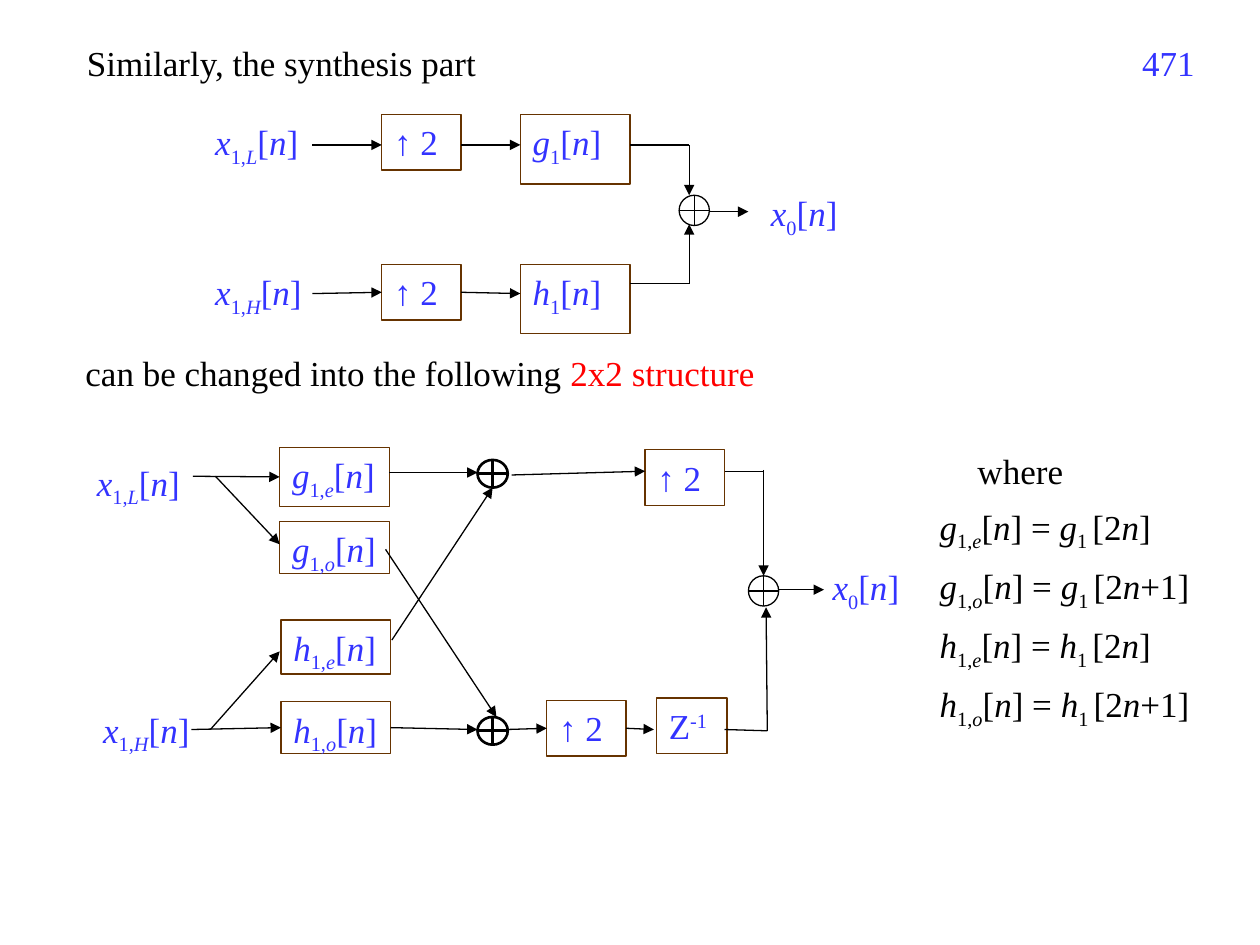
from itertools import groupby

from lxml import etree
from pptx import Presentation
from pptx import util as u
from pptx.dml.color import RGBColor
from pptx.enum import shapes, text
from pptx.oxml.ns import qn

BLUE, BLACK, RED, BROWN, WHITE = "3333FF", "000000", "FF0000", "663300", "FFFFFF"
FONT, SIZE = "Times New Roman", 20
LEVELS = {"<": -25000, "^": 30000, ">": 0}
ITALIC = "xghnLHeo"
JOIN_DISTANCE = 0.018

TITLE = ("Similarly, the synthesis part", (0.59, 0.28, 4.57, 0.44))
PLAIN_TEXTS = [
    ([("471", BLUE)], (8.7, 0.28, 0.88, 0.52), "RIGHT"),
    ([("can be changed into the following ", BLACK), ("2x2 structure", RED)],
     (0.58, 2.74, 6.25, 0.44), "LEFT"),
    ([("where", BLACK)], (7.66, 3.52, 1.26, 0.44), "LEFT"),
]
SIGNALS = [
    ("x<1,L>[n]", 1.61, 0.91), ("x<1,H>[n]", 1.61, 2.1), ("x<0>[n]", 6.02, 1.47),
    ("x<1,L>[n]", 0.67, 3.61), ("x<1,H>[n]", 0.72, 5.57), ("x<0>[n]", 6.51, 4.44),
]
EQUATIONS = [
    "g<1,e>[n] = g<1 >[2n]", "g<1,o>[n] = g<1 >[2n+1]",
    "h<1,e>[n] = h<1 >[2n]", "h<1,o>[n] = h<1 >[2n+1]",
]
EQUATION_LEFT, EQUATION_TOP, EQUATION_STEP = 7.36, 3.96, 0.47
BLOCKS = [
    ("↑ 2", (3.03, 0.91, 0.63, 0.44)), ("↑ 2", (3.03, 2.1, 0.63, 0.44)),
    ("g<1>[n]", (4.13, 0.91, 0.87, 0.55)), ("h<1>[n]", (4.13, 2.1, 0.87, 0.55)),
    ("g<1,e>[n]", (2.22, 3.55, 0.87, 0.47)), ("g<1,o>[n]", (2.22, 4.14, 0.87, 0.41)),
    ("h<1,e>[n]", (2.23, 4.92, 0.87, 0.43)), ("h<1,o>[n]", (2.23, 5.57, 0.87, 0.41)),
    ("↑ 2", (5.12, 3.57, 0.63, 0.44)), ("↑ 2", (4.34, 5.56, 0.63, 0.44)),
    ("Z^-1", (5.21, 5.54, 0.56, 0.44)),
]
ADDERS = [
    ((5.39, 1.55, 0.24, 0.24), 0.75), ((5.94, 4.57, 0.24, 0.24), 0.75),
    ((3.79, 3.65, 0.24, 0.22), 1.5), ((3.79, 5.69, 0.24, 0.22), 1.5),
]
ARROWS = [
    (2.48, 1.15, 3.03, 1.15), (3.66, 1.15, 4.13, 1.15), (5.47, 1.15, 5.47, 1.55),
    (2.48, 2.33, 3.03, 2.33), (3.66, 2.33, 4.13, 2.33), (5.47, 2.25, 5.47, 1.78),
    (5.63, 1.68, 5.94, 1.68),
    (1.53, 3.78, 2.23, 3.78), (1.71, 3.78, 2.22, 4.32),
    (1.52, 5.79, 2.22, 5.79), (1.67, 5.79, 2.22, 5.17),
    (3.09, 3.75, 3.79, 3.75), (3.09, 5.79, 3.79, 5.79),
    (3.11, 5.08, 3.91, 3.87), (3.06, 4.36, 3.94, 5.69),
    (4.06, 3.77, 5.12, 3.74), (4.02, 5.79, 4.35, 5.79), (4.97, 5.79, 5.19, 5.79),
    (6.06, 3.73, 6.06, 4.57), (6.09, 5.8, 6.08, 4.82), (6.18, 4.68, 6.54, 4.68),
]
PLAIN_LINES = [
    (5, 1.15, 5.47, 1.15), (5, 2.25, 5.47, 2.25),
    (5.75, 3.74, 6.06, 3.74), (5.75, 5.79, 6.09, 5.8),
]


def inches(values):
    return [u.Inches(value) for value in values]


def color(value):
    return RGBColor.from_string(value)


def style(paragraph, value=BLACK, align="LEFT"):
    paragraph.alignment = getattr(text.PP_ALIGN, align)
    paragraph.font.name, paragraph.font.size = FONT, u.Pt(SIZE)
    paragraph.font.color.rgb = color(value)


def write_formula(frame, formula, value):
    """Write a formula: <...> lowers, ^ raises, and variable letters turn italic."""
    frame.word_wrap = True
    paragraph = frame.paragraphs[0]
    style(paragraph, value)
    level, marked = 0, []
    for character in formula:
        if character in LEVELS:
            level = LEVELS[character]
        else:
            marked.append((character, level, character in ITALIC))
    for (level, italic), group in groupby(marked, key=lambda mark: mark[1:]):
        run = paragraph.add_run()
        run.text = "".join(mark[0] for mark in group)
        if italic:
            run.font.italic = True
        if level:
            run.font._element.set("baseline", str(level))


def add_outline(slide, kind, box, line_color, width):
    shape = slide.shapes.add_shape(kind, *inches(box))
    shape.shadow.inherit = False
    shape.fill.background()
    shape.line.color.rgb, shape.line.width = color(line_color), u.Pt(width)
    return shape


def add_block(slide, formula, box):
    shape = add_outline(slide, shapes.MSO_SHAPE.RECTANGLE, box, BROWN, 0.75)
    frame = shape.text_frame
    frame.vertical_anchor, frame.margin_right = text.MSO_ANCHOR.TOP, 0
    write_formula(frame, formula, BLUE)
    return shape


def find_side(blocks, x, y):
    for shape, (left, top, width, height) in blocks:
        middle_x, middle_y = left + width / 2, top + height / 2
        sides = [(middle_x, top), (left, middle_y),
                 (middle_x, top + height), (left + width, middle_y)]
        for index, (side_x, side_y) in enumerate(sides):
            if max(abs(x - side_x), abs(y - side_y)) <= JOIN_DISTANCE:
                return shape, index
    return None


def add_line(slide, blocks, points, arrow):
    line = slide.shapes.add_connector(shapes.MSO_CONNECTOR.STRAIGHT, *inches(points))
    line.line.color.rgb, line.line.width = color(BLACK), u.Pt(0.75)
    if arrow:
        etree.SubElement(line.line._get_or_add_ln(), qn("a:tailEnd"), type="triangle")
    etree.SubElement(line._element.spPr, qn("a:effectLst"))
    for join, point in ((line.begin_connect, points[:2]), (line.end_connect, points[2:])):
        side = find_side(blocks, *point)
        if side:
            join(*side)


def main():
    presentation = Presentation()
    presentation.slide_width, presentation.slide_height = inches((10, 7.5))
    slide = presentation.slides.add_slide(presentation.slide_layouts[5])

    title = slide.shapes.title
    title.left, title.top, title.width, title.height = inches(TITLE[1])
    title.text_frame.text = TITLE[0]
    title.text_frame.vertical_anchor = text.MSO_ANCHOR.TOP
    title.text_frame.auto_size = text.MSO_AUTO_SIZE.NONE
    style(title.text_frame.paragraphs[0])

    for runs, box, align in PLAIN_TEXTS:
        frame = slide.shapes.add_textbox(*inches(box)).text_frame
        frame.word_wrap = True
        style(frame.paragraphs[0], runs[0][1], align)
        for wording, value in runs:
            run = frame.paragraphs[0].add_run()
            run.text, run.font.color.rgb = wording, color(value)

    formulas = [(signal, left, top, 0.94, BLUE) for signal, left, top in SIGNALS]
    formulas += [(equation, EQUATION_LEFT, EQUATION_TOP + row * EQUATION_STEP, 2.34, BLACK)
                 for row, equation in enumerate(EQUATIONS)]
    for formula, left, top, width, value in formulas:
        label = slide.shapes.add_textbox(*inches((left, top, width, 0.44)))
        write_formula(label.text_frame, formula, value)

    blocks = [(add_block(slide, formula, box), box) for formula, box in BLOCKS]
    for box, width in ADDERS:
        add_outline(slide, shapes.MSO_SHAPE.FLOWCHART_OR, box, BLACK, width)
    for lines, arrow in ((ARROWS, True), (PLAIN_LINES, False)):
        for points in lines:
            add_line(slide, blocks, points, arrow)

    presentation.save("out.pptx")


if __name__ == "__main__":
    main()
